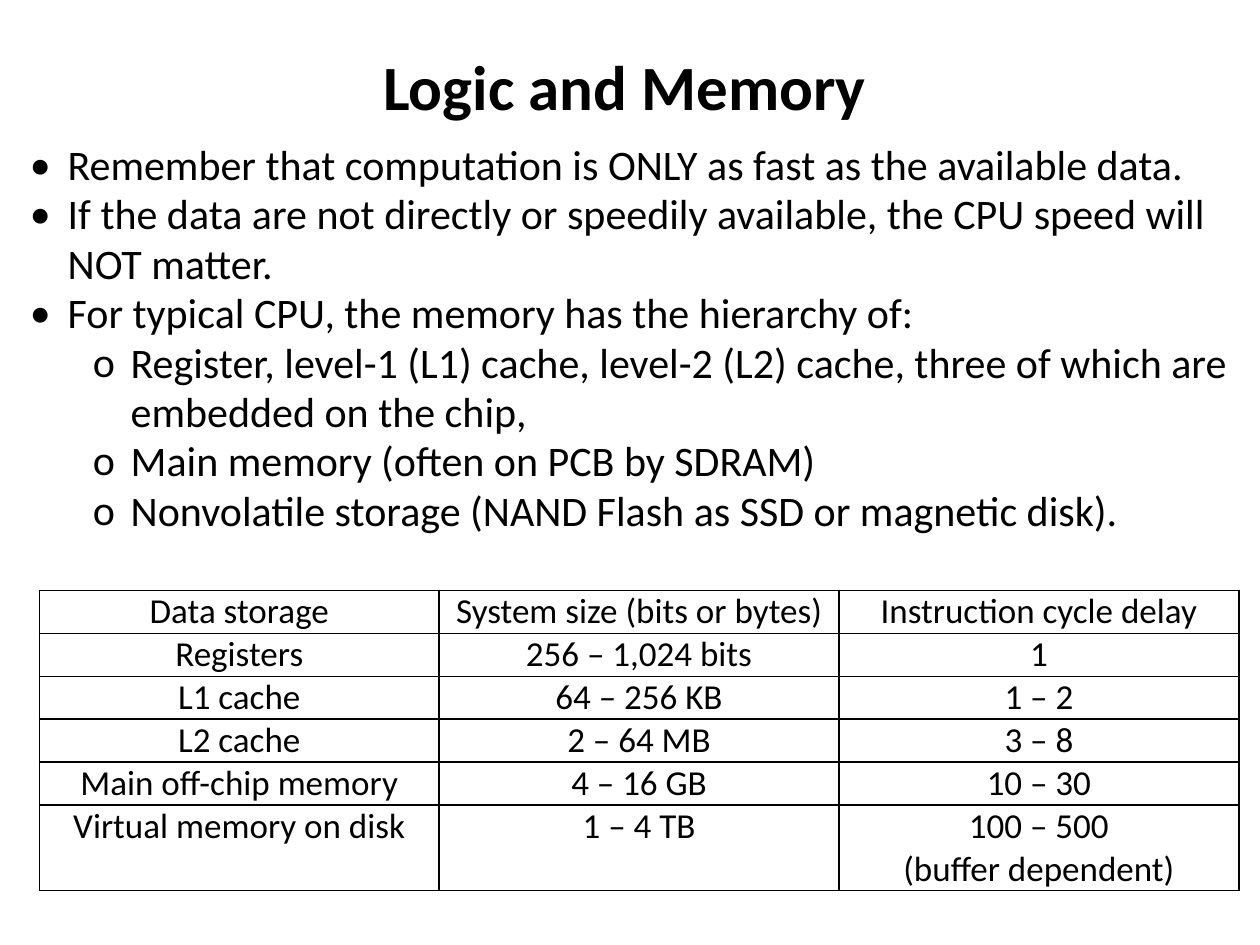
from lxml.etree import SubElement
from pptx import Presentation
from pptx.dml.color import RGBColor
from pptx.enum.text import MSO_ANCHOR as Anchor, PP_ALIGN as Align
from pptx.oxml.ns import qn
from pptx.util import Pt

BLACK = RGBColor(0, 0, 0)
FONT = "Calibri"

BULLETS = [
    (0, "Remember that computation is ONLY as fast as the available data."),
    (0, "If the data are not directly or speedily available, the CPU speed will NOT matter."),
    (0, "For typical CPU, the memory has the hierarchy of:"),
    (1, "Register, level-1 (L1) cache, level-2 (L2) cache, three of which are embedded on the chip,"),
    (1, "Main memory (often on PCB by SDRAM)"),
    (1, "Nonvolatile storage (NAND Flash as SSD or magnetic disk)."),
]
# Per level: bullet sign and left margin in points
LEVELS = [("•", 21.6), ("o", 57.6)]
HANGING = 21.6

STORAGE_ROWS = [
    ("Data storage", "System size (bits or bytes)", "Instruction cycle delay"),
    ("Registers", "256 – 1,024 bits", "1"),
    ("L1 cache", "64 – 256 KB", "1 – 2"),
    ("L2 cache", "2 – 64 MB", "3 – 8"),
    ("Main off-chip memory", "4 – 16 GB", "10 – 30"),
    ("Virtual memory on disk", "1 – 4 TB", "100 – 500\n(buffer dependent)"),
]
COLUMN_WIDTH = 228.5
LINE_HEIGHT = 24.5


def set_values(target, values):
    for name, value in values.items():
        setattr(target, name, value)


def write_span(para, text, size, bold=False):
    span = para.add_run()
    span.text = text
    set_values(span.font, {"name": FONT, "size": Pt(size), "bold": bold})
    span.font.color.rgb = BLACK


def add_box(page, left, top, width, height, anchor=Anchor.TOP):
    box = page.shapes.add_textbox(Pt(left), Pt(top), Pt(width), Pt(height))
    set_values(box.text_frame, {"word_wrap": True, "vertical_anchor": anchor})
    return box.text_frame


def add_title(page, text):
    frame = add_box(page, 36, 12, 642, 73.5, Anchor.MIDDLE)
    para = frame.paragraphs[0]
    para.alignment = Align.CENTER
    write_span(para, text, 36, bold=True)


def add_bullets(page, items):
    frame = add_box(page, 10, 77, 706, 444)
    for index, (level, text) in enumerate(items):
        para = frame.add_paragraph() if index else frame.paragraphs[0]
        set_values(para, {"level": level, "line_spacing": 0.98})
        sign, margin = LEVELS[level]
        props = para._p.get_or_add_pPr()
        props.set("marL", str(Pt(margin)))
        props.set("indent", str(-Pt(HANGING)))
        SubElement(props, qn("a:buFont"), typeface=FONT)
        SubElement(props, qn("a:buChar"), char=sign)
        write_span(para, text, 24)


def add_borders(cell):
    props = cell._tc.get_or_add_tcPr()
    for index, side in enumerate(("a:lnL", "a:lnR", "a:lnT", "a:lnB")):
        line = SubElement(props, qn(side), w=str(Pt(1)))
        solid = SubElement(line, qn("a:solidFill"))
        SubElement(solid, qn("a:srgbClr"), val=str(BLACK))
        props.insert(index, line)  # borders come before the fill


def fill_cell(cell, text):
    set_values(cell, {"margin_left": Pt(5), "margin_right": Pt(5),
                      "margin_top": 0, "margin_bottom": 0})
    cell.fill.background()
    add_borders(cell)
    for index, line in enumerate(text.split("\n")):
        frame = cell.text_frame
        para = frame.add_paragraph() if index else frame.paragraphs[0]
        para.alignment = Align.CENTER
        write_span(para, line, 20)


def add_storage_table(page, rows):
    columns = len(rows[0])
    line_counts = [max(text.count("\n") + 1 for text in row) for row in rows]
    table = page.shapes.add_table(
        len(rows), columns, Pt(22.5), Pt(337.5),
        Pt(COLUMN_WIDTH * columns), Pt(LINE_HEIGHT * sum(line_counts))).table
    set_values(table, {"first_row": False, "horz_banding": False})
    for column in table.columns:
        column.width = Pt(COLUMN_WIDTH)
    for r, row in enumerate(rows):
        table.rows[r].height = Pt(LINE_HEIGHT * line_counts[r])
        for c, text in enumerate(row):
            fill_cell(table.cell(r, c), text)


def main():
    deck = Presentation()
    set_values(deck, {"slide_width": Pt(720), "slide_height": Pt(540)})
    page = deck.slides.add_slide(deck.slide_layouts[6])

    # Heading and key points
    add_title(page, "Logic and Memory")
    add_bullets(page, BULLETS)

    # Memory hierarchy
    add_storage_table(page, STORAGE_ROWS)

    deck.save("out.pptx")


if __name__ == "__main__":
    main()
